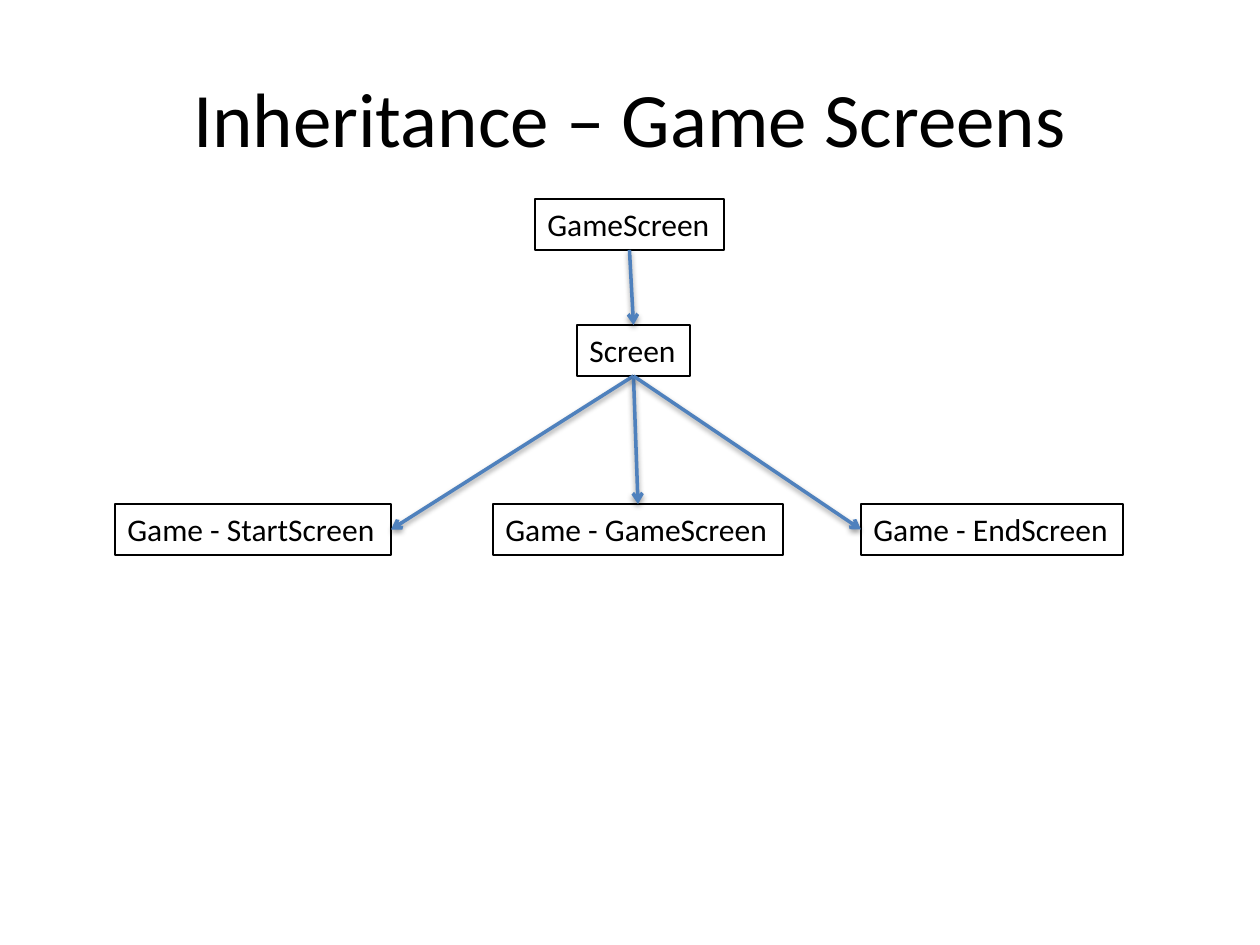
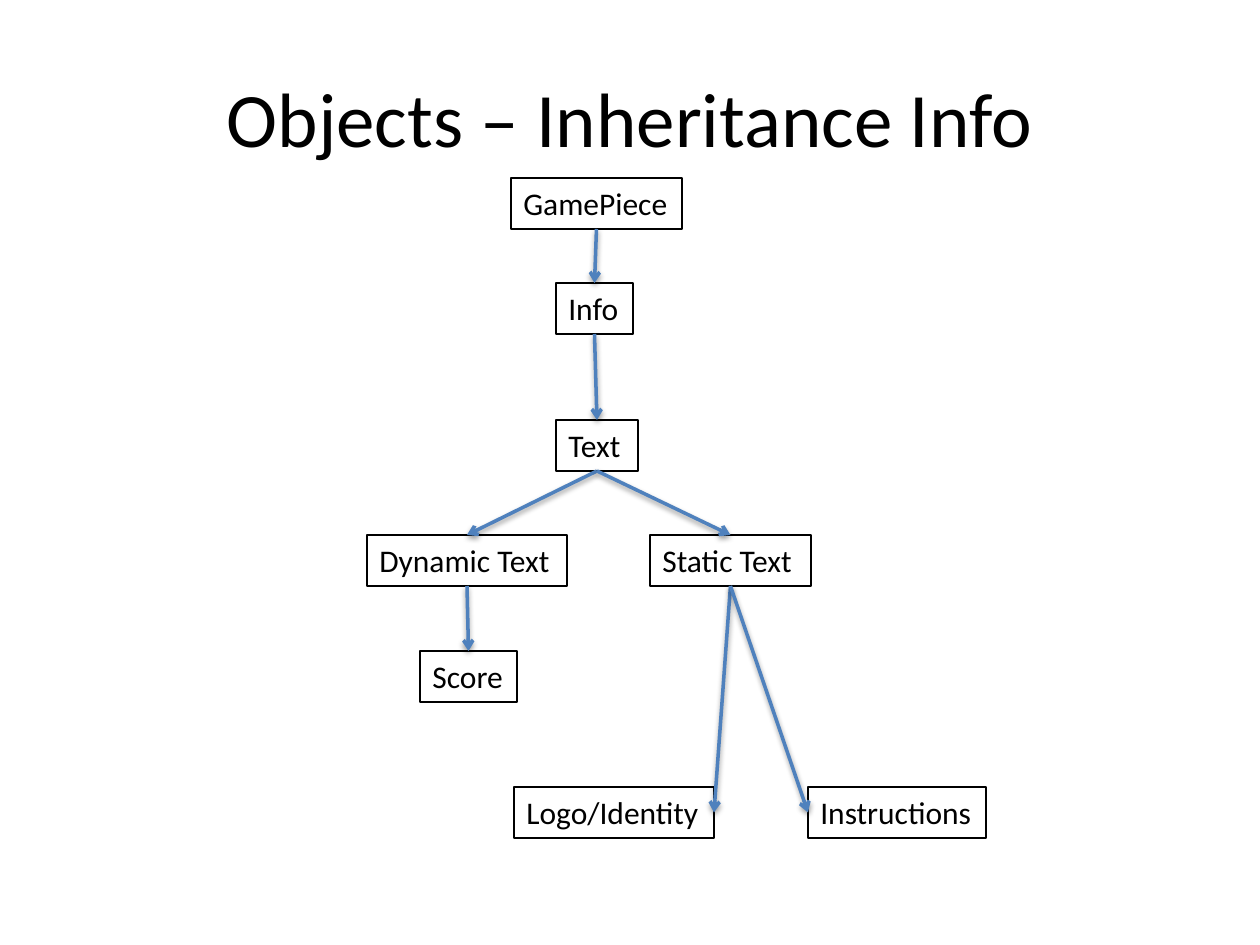
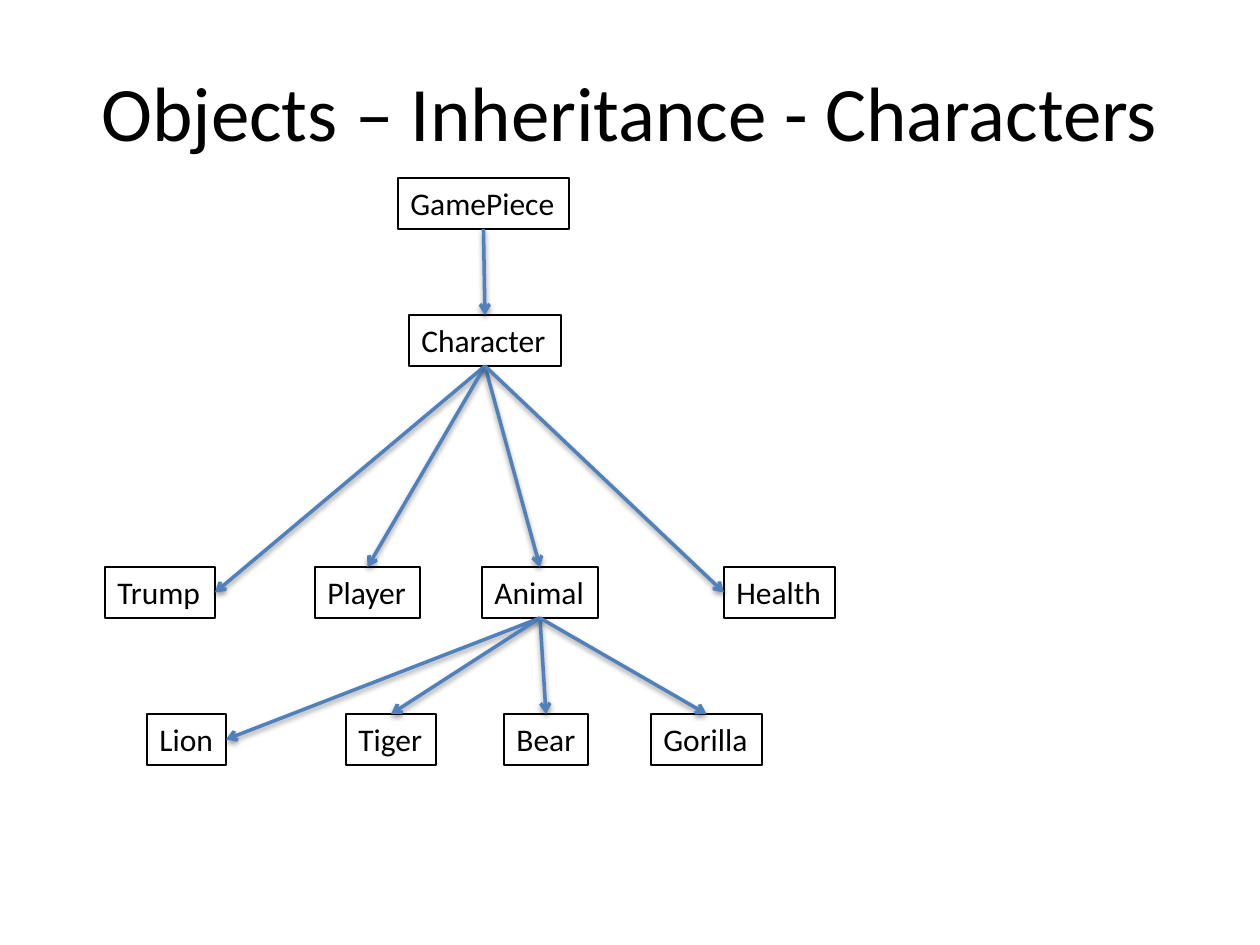
from lxml.etree import SubElement
from pptx import Presentation
from pptx.dml.color import RGBColor
from pptx.enum.shapes import MSO_CONNECTOR
from pptx.enum.text import MSO_ANCHOR, MSO_AUTO_SIZE, PP_ALIGN
from pptx.oxml.ns import qn
from pptx.util import Pt

SCALE = 914400 / 126
COLORS = {"paper": "FFFFFF", "ink": "000000", "arrow": "4F81BD"}
TOP, LEFT, BOTTOM, RIGHT = range(4)


def emu(pixels):
    return round(pixels * SCALE)


def color(name):
    return RGBColor.from_string(COLORS[name])


class Deck:
    font = "Calibri"
    box_height = 51

    def __init__(self):
        self.presentation = Presentation()
        self.presentation.slide_width = emu(1260)
        self.presentation.slide_height = emu(945)
        self.slide = None

    def text(self, content, left, top, width, height, size):
        shape = self.slide.shapes.add_textbox(*map(emu, (left, top, width, height)))
        run = shape.text_frame.paragraphs[0].add_run()
        run.text = content
        run.font.name = self.font
        run.font.size = Pt(size)
        run.font.color.rgb = color("ink")
        return shape

    def new_slide(self, title, top=38):
        self.slide = self.presentation.slides.add_slide(self.presentation.slide_layouts[6])
        fill = self.slide.background.fill
        fill.solid()
        fill.fore_color.rgb = color("paper")
        frame = self.text(title, 63, top, 1134, 157, 44).text_frame
        frame.word_wrap = True
        frame.vertical_anchor = MSO_ANCHOR.MIDDLE
        frame.paragraphs[0].alignment = PP_ALIGN.CENTER

    def box(self, label, left, top, width):
        shape = self.text(label, left, top, width, self.box_height, 18)
        shape.text_frame.word_wrap = False
        shape.text_frame.auto_size = MSO_AUTO_SIZE.SHAPE_TO_FIT_TEXT
        shape.line.color.rgb = color("ink")
        shape.line.width = Pt(0.75)
        return shape

    def arrow(self, parent, child, side):
        connector = self.slide.shapes.add_connector(MSO_CONNECTOR.STRAIGHT, 0, 0, 0, 0)
        connector.begin_connect(parent, BOTTOM)
        connector.end_connect(child, side)
        connector.line.color.rgb = color("arrow")
        connector.line.width = Pt(2)
        SubElement(connector.line._get_or_add_ln(), qn("a:tailEnd"), type="arrow")
        effects = SubElement(connector._element.spPr, qn("a:effectLst"))
        shadow = SubElement(effects, qn("a:outerShdw"), blurRad="40000", dist="20000",
                            dir="5400000", rotWithShape="0")
        shade = SubElement(shadow, qn("a:srgbClr"), val=COLORS["ink"])
        SubElement(shade, qn("a:alpha"), val="38000")

    def children(self, parent, top, *entries):
        shapes = []
        for label, left, width, side in entries:
            shape = self.box(label, left, top, width)
            self.arrow(parent, shape, side)
            shapes.append(shape)
        return shapes


deck = Deck()

deck.new_slide("Inheritance – Game Screens")
game_screen = deck.box("GameScreen", 535, 199, 189)
[screen] = deck.children(game_screen, 325, ("Screen", 577, 113, TOP))
deck.children(
    screen, 504,
    ("Game - StartScreen", 115, 276, RIGHT),
    ("Game - GameScreen", 493, 290, TOP),
    ("Game - EndScreen", 861, 262, LEFT),
)

deck.new_slide("Objects – Inheritance Info")
game_piece = deck.box("GamePiece", 511, 178, 171)
[info] = deck.children(game_piece, 283, ("Info", 556, 77, TOP))
[text] = deck.children(info, 420, ("Text", 556, 82, TOP))
dynamic_text, static_text = deck.children(
    text, 535,
    ("Dynamic Text", 367, 200, TOP),
    ("Static Text", 650, 161, TOP),
)
deck.children(dynamic_text, 651, ("Score", 420, 97, TOP))
deck.children(
    static_text, 787,
    ("Logo/Identity", 514, 200, RIGHT),
    ("Instructions", 808, 178, LEFT),
)

deck.new_slide("Objects – Inheritance - Characters", top=32)
game_piece = deck.box("GamePiece", 398, 178, 171)
[character] = deck.children(game_piece, 315, ("Character", 409, 152, TOP))
trump, player, animal, health = deck.children(
    character, 567,
    ("Trump", 105, 110, RIGHT),
    ("Player", 315, 105, TOP),
    ("Animal", 482, 116, TOP),
    ("Health", 724, 111, LEFT),
)
deck.children(
    animal, 714,
    ("Lion", 147, 79, RIGHT),
    ("Tiger", 346, 90, TOP),
    ("Bear", 504, 84, TOP),
    ("Gorilla", 651, 111, TOP),
)

deck.presentation.save("out.pptx")
